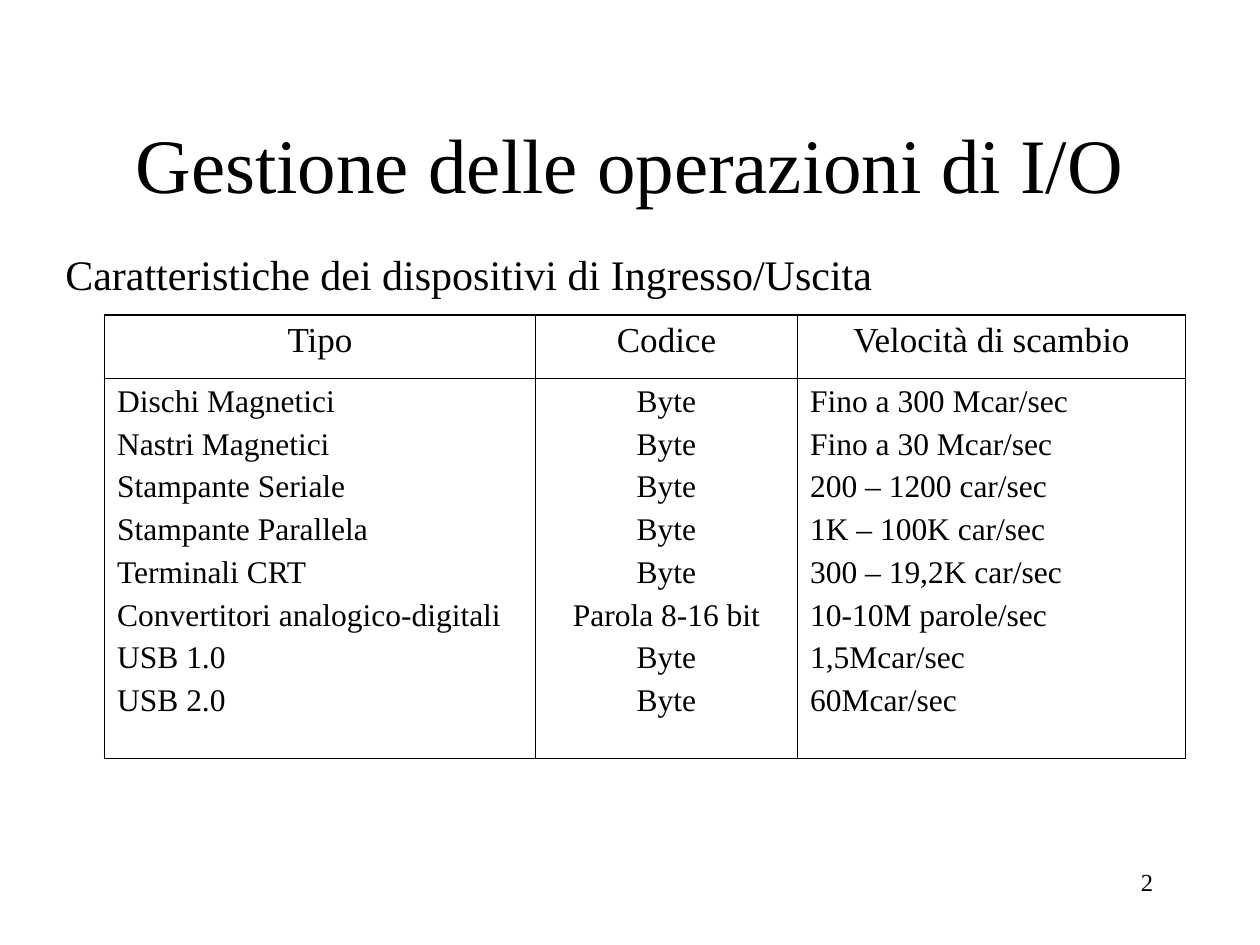
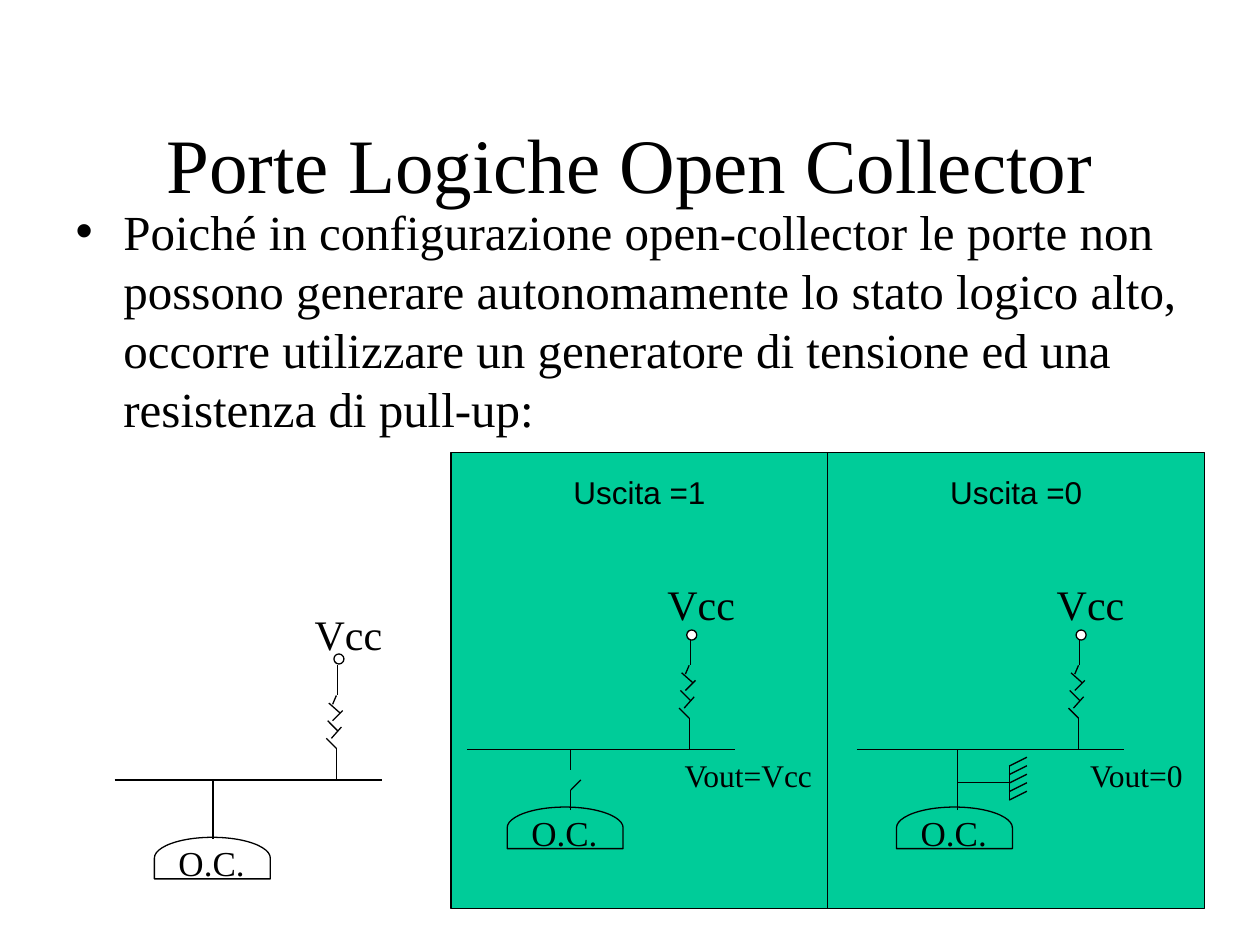
from lxml.etree import SubElement
from pptx import Presentation
from pptx.dml.color import RGBColor
from pptx.enum.shapes import MSO_CONNECTOR as Connector, MSO_SHAPE as Shape
from pptx.enum.text import MSO_ANCHOR as Anchor, MSO_AUTO_SIZE as AutoSize, PP_ALIGN as Align
from pptx.oxml.ns import qn
from pptx.util import Inches, Pt

SERIF, SANS = "Times New Roman", "Arial"
BLACK, WHITE, GREEN = "000000", "FFFFFF", "00CC99"
TITLE_ONLY, TITLE_AND_BODY = 5, 1


def color(value):
    return RGBColor.from_string(value)


def write(frame, text, size=18, font=SERIF, ink=BLACK, align=Align.LEFT, before=0,
          bullet_indent=None):
    """Fill a text frame, one paragraph per line of text."""
    for index, line in enumerate(text.split("\n")):
        paragraph = frame.paragraphs[0] if index == 0 else frame.add_paragraph()
        paragraph.text = line
        if bullet_indent:
            properties = paragraph._p.get_or_add_pPr()
            properties.set("marL", str(Inches(bullet_indent)))
            properties.set("indent", str(-Inches(bullet_indent)))
            SubElement(properties, qn("a:buChar")).set("char", "•")
        paragraph.alignment = align
        paragraph.space_before = Pt(before if index else 0)
        for run in paragraph.runs:
            run.font.name = font
            run.font.size = Pt(size)
            run.font.color.rgb = color(ink)


def set_border(cell, widths):
    """Draw the cell sides; widths are left, right, top, bottom in points."""
    properties = cell._tc.get_or_add_tcPr()
    for index, (side, width) in enumerate(zip("LRTB", widths)):
        line = SubElement(properties, qn(f"a:ln{side}"), w=str(Pt(width)))
        fill = SubElement(line, qn("a:solidFill"))
        SubElement(fill, qn("a:srgbClr"), val=BLACK)
        properties.insert(index, line)


class Deck:
    line_width = 0.75
    outer_border, inner_border = 1.08, 0.45

    def __init__(self):
        self.presentation = Presentation()
        self.presentation.slide_width = Inches(10)
        self.presentation.slide_height = Inches(7.5)
        self.slide = None

    def new_slide(self, layout, title):
        layouts = self.presentation.slide_layouts
        self.slide = self.presentation.slides.add_slide(layouts[layout])
        frame = self.place(self.slide.shapes.title, 0.75, 0.67, 8.5, 1.25)
        frame.vertical_anchor = Anchor.MIDDLE
        write(frame, title, size=44, align=Align.CENTER)

    def place(self, shape, left, top, width, height):
        shape.left, shape.top = Inches(left), Inches(top)
        shape.width, shape.height = Inches(width), Inches(height)
        shape.text_frame.auto_size = AutoSize.NONE
        return shape.text_frame

    def body(self, text, left, top, width, height, **style):
        write(self.place(self.slide.placeholders[1], left, top, width, height), text, **style)

    def text(self, text, left, top, width, height, **style):
        box = self.slide.shapes.add_textbox(
            Inches(left), Inches(top), Inches(width), Inches(height))
        box.text_frame.word_wrap = True
        write(box.text_frame, text, **style)
        return box.text_frame

    def label(self, text, left, top, width, height, **style):
        """Add a centred one-line text that uses the full width of its box."""
        frame = self.text(text, left, top, width, height, align=Align.CENTER, **style)
        frame.margin_left = frame.margin_right = 0
        frame.word_wrap = False

    def shape(self, kind, left, top, width, height, fill=None, rotation=0):
        shape = self.slide.shapes.add_shape(
            kind, Inches(left), Inches(top), Inches(width), Inches(height))
        shape.shadow.inherit = False
        shape.rotation = rotation
        if fill:
            shape.fill.solid()
            shape.fill.fore_color.rgb = color(fill)
        else:
            shape.fill.background()
        shape.line.color.rgb = color(BLACK)
        shape.line.width = Pt(self.line_width)
        return shape

    def line(self, x1, y1, x2, y2):
        line = self.slide.shapes.add_connector(
            Connector.STRAIGHT, Inches(x1), Inches(y1), Inches(x2), Inches(y2))
        line.line.color.rgb = color(BLACK)
        line.line.width = Pt(self.line_width)
        SubElement(line._element.spPr, qn("a:effectLst"))

    def lines(self, x, y, segments):
        """Draw segments given relative to the point x, y."""
        for x1, y1, x2, y2 in segments:
            self.line(x + x1, y + y1, x + x2, y + y2)

    def table(self, rows, left, top, widths, heights, styles, aligns):
        table = self.slide.shapes.add_table(
            len(rows), len(widths), Inches(left), Inches(top),
            Inches(sum(widths)), Inches(sum(heights))).table
        table.first_row = table.horz_banding = False
        for column, width in zip(table.columns, widths):
            column.width = Inches(width)
        for r, texts in enumerate(rows):
            table.rows[r].height = Inches(heights[r])
            for c, text in enumerate(texts):
                cell = table.cell(r, c)
                cell.fill.background()
                edges = (c == 0, c == len(widths) - 1, r == 0, r == len(rows) - 1)
                set_border(cell, [self.outer_border if edge else self.inner_border
                                  for edge in edges])
                write(cell.text_frame, text, align=aligns[r][c], **styles[r])

    def panel(self, text, left, top, width, height):
        frame = self.shape(Shape.RECTANGLE, left, top, width, height, GREEN).text_frame
        frame.vertical_anchor = Anchor.TOP
        frame.margin_top = Inches(0.16)
        frame.word_wrap = False
        write(frame, text, font=SANS, align=Align.CENTER)

    def circuit(self, x, y, gate_leads, terminal_rise=0.95):
        """Draw a gate, its output line and the pull-up; x, y is the line's left end."""
        # Open-collector gate
        self.shape(Shape.FLOWCHART_DELAY, x + 0.61, y + 0.16, 0.33, 0.92, rotation=270)
        self.label("O.C.", x + 0.27, y + 0.44, 1, 0.44, size=20)
        self.lines(x, y, gate_leads)
        # Output line, pull-up resistor and supply terminal
        self.lines(x, y, PULL_UP)
        self.label("Vcc", x + 1.49, y - 1.41, 0.73, 0.5, size=24)
        self.shape(Shape.OVAL, x + 1.74, y - terminal_rise, 0.08, 0.08, WHITE)


# Segments relative to the left end of the output line
PULL_UP = [
    (0, 0, 2.12, 0),
    (1.77, -0.91, 1.77, -0.67),
    (1.76, -0.25, 1.76, 0),
    (1.76, -0.25, 1.68, -0.33),
    (1.77, -0.39, 1.69, -0.47),
    (1.79, -0.53, 1.7, -0.61),
    (1.73, -0.6, 1.76, -0.67),
    (1.73, -0.47, 1.81, -0.55),
    (1.72, -0.33, 1.8, -0.42),
]
PLAIN_LEAD = [(0.78, 0.47, 0.78, 0)]
OPEN_SWITCH = [(0.82, 0.48, 0.82, 0.32), (0.82, 0.16, 0.82, 0), (0.82, 0.32, 0.9, 0.24)]
GROUNDED_LEAD = [
    (0.8, 0.48, 0.8, 0),
    (0.8, 0.26, 1.21, 0.26),
    (1.21, 0.4, 1.21, 0.13),
] + [(1.21, 0.13 + step * 0.27 / 4, 1.35, 0.06 + step * 0.27 / 4) for step in range(5)]

DEVICES = [
    ("Dischi Magnetici", "Byte", "Fino a 300 Mcar/sec"),
    ("Nastri Magnetici", "Byte", "Fino a 30 Mcar/sec"),
    ("Stampante Seriale", "Byte", "200 – 1200 car/sec"),
    ("Stampante Parallela", "Byte", "1K – 100K car/sec"),
    ("Terminali CRT", "Byte", "300 – 19,2K car/sec"),
    ("Convertitori analogico-digitali", "Parola 8-16 bit", "10-10M parole/sec"),
    ("USB 1.0", "Byte", "1,5Mcar/sec"),
    ("USB 2.0", "Byte", "60Mcar/sec"),
]


def devices_slide(deck):
    deck.new_slide(TITLE_ONLY, "Gestione delle operazioni di I/O")
    deck.text("2", 7.17, 6.83, 2.08, 0.5, size=14, align=Align.RIGHT)
    deck.text("Caratteristiche dei dispositivi di Ingresso/Uscita",
              0.42, 1.92, 8.25, 0.5, size=24)
    # Header row, then one row that lists every device
    rows = [("Tipo", "Codice", "Velocità di scambio"),
            ["\n".join(column) for column in zip(*DEVICES)]]
    deck.table(rows, 0.83, 2.5, widths=[3.42, 2.08, 3.08], heights=[0.5, 3.02],
               styles=[{"size": 20}, {"size": 18, "before": 4.5}],
               aligns=[[Align.CENTER] * 3, [Align.LEFT, Align.CENTER, Align.LEFT]])


def open_collector_slide(deck):
    deck.new_slide(TITLE_AND_BODY, "Porte Logiche Open Collector")
    deck.body("Poiché in configurazione open-collector le porte non possono generare "
              "autonomamente lo stato logico alto, occorre utilizzare un generatore di "
              "tensione ed una resistenza di pull-up:",
              0.5, 1.55, 9, 5.15, size=28, bullet_indent=0.38)
    # Output panels
    panel_left, panel_width = 3.58, 2.99
    for index, label in enumerate(["Uscita =1", "Uscita =0"]):
        deck.panel(label, panel_left + index * panel_width, 3.59, panel_width, 3.62)
    # General circuit, then high and low output
    deck.circuit(0.91, 6.19, PLAIN_LEAD, terminal_rise=1)
    deck.circuit(3.71, 5.95, OPEN_SWITCH)
    deck.circuit(6.8, 5.95, GROUNDED_LEAD)
    for label, left, width in [("Vout=Vcc", 5.32, 1.24), ("Vout=0", 8.54, 0.96)]:
        deck.label(label, left, 5.95, width, 0.4)


def main():
    deck = Deck()
    devices_slide(deck)
    open_collector_slide(deck)
    deck.presentation.save("out.pptx")


if __name__ == "__main__":
    main()
